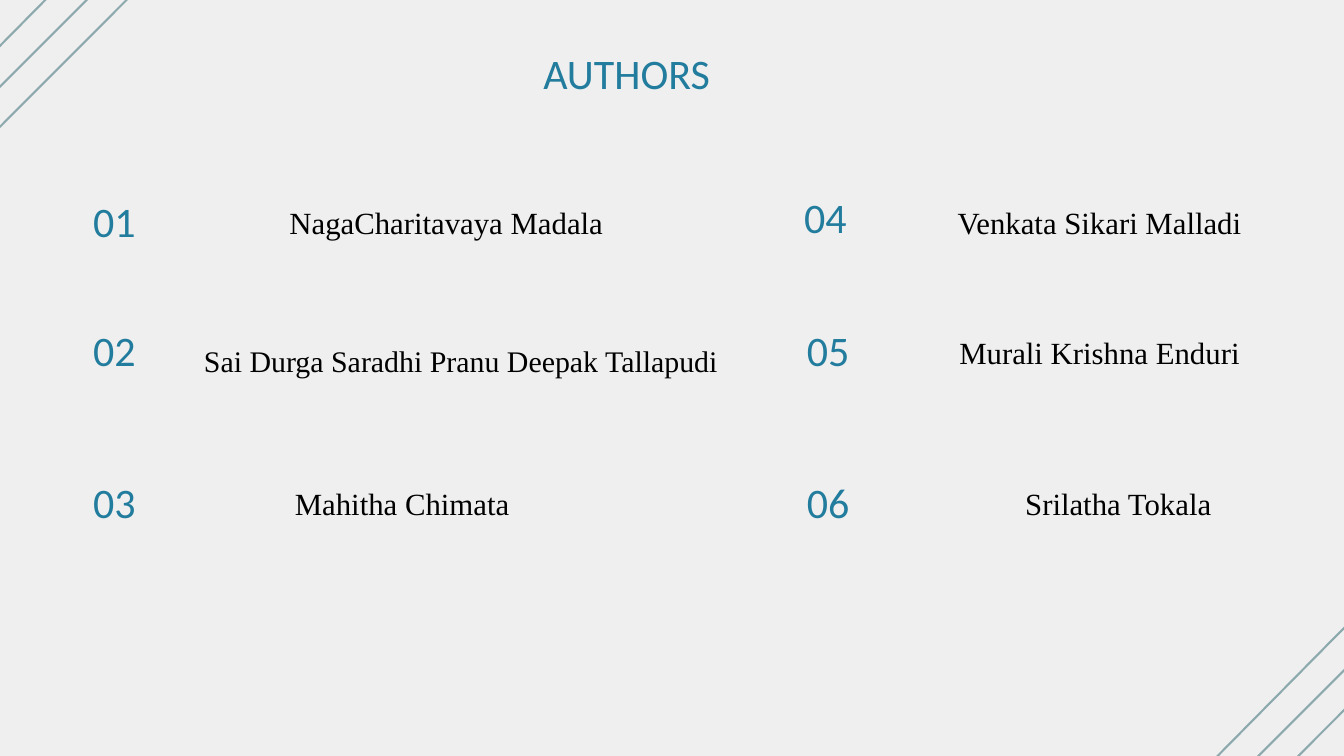
from lxml.etree import SubElement
from pptx import Presentation
from pptx.dml.color import RGBColor
from pptx.enum.shapes import MSO_CONNECTOR
from pptx.enum.text import MSO_AUTO_SIZE, PP_ALIGN
from pptx.oxml.ns import qn
from pptx.util import Pt

COLORS = {"background": "EFEFEF", "accent": "227C9D", "name": "000000", "stripe": "8CA9AD"}
TEXT_WIDTH = 948.2
NUMBER_HEIGHT = 54.7
ROW_TOPS = (0, 138.9, 300.9)
NAME_DROP = 7.2
STRIPES = (
    (-218.2, 269.9, 185.8, -139),
    (-193.6, 286.6, 203, -110.2),
    (-164.9, 301, 218.2, -82.8),
)
LEFT_AUTHORS = (
    {"number": "01", "name": "NagaCharitavaya Madala", "name_left": 355.5},
    {"number": "02", "name": "Sai Durga Saradhi Pranu Deepak Tallapudi", "name_left": 537.2,
     "name_width": 616.3, "name_size": 32, "name_shift": 9.4},
    {"number": "03", "name": "Mahitha Chimata", "name_left": 308.2},
)
RIGHT_AUTHORS = (
    {"number": "04", "name": "Venkata Sikari Malladi", "name_left": 290.7,
     "number_shift": (-2.9, -3.6)},
    {"number": "05", "name": "Murali Krishna Enduri", "name_left": 290.7},
    {"number": "06", "name": "Srilatha Tokala", "name_left": 310.8},
)


def add_text(slide, text, left, top, width, height, size=45, font="Calibri", color="accent"):
    label = slide.shapes.add_textbox(Pt(left), Pt(top), Pt(width), Pt(height))
    frame = label.text_frame
    frame.word_wrap = True
    frame.auto_size = MSO_AUTO_SIZE.SHAPE_TO_FIT_TEXT
    frame.margin_left = frame.margin_right = frame.margin_top = frame.margin_bottom = 0
    paragraph = frame.paragraphs[0]
    paragraph.alignment = PP_ALIGN.CENTER
    paragraph.line_spacing = Pt(size)
    run = paragraph.add_run()
    run.text = text
    run.font.size = Pt(size)
    run.font.name = font
    run.font.color.rgb = RGBColor.from_string(COLORS[color])


def add_corner_stripes(slide, left, top):
    for start_x, start_y, end_x, end_y in STRIPES:
        stripe = slide.shapes.add_connector(
            MSO_CONNECTOR.STRAIGHT,
            Pt(left + start_x), Pt(top + start_y), Pt(left + end_x), Pt(top + end_y),
        )
        stripe.line.color.rgb = RGBColor.from_string(COLORS["stripe"])
        stripe.line.width = Pt(2.25)
        SubElement(stripe.element.spPr, qn("a:effectLst"))


def add_title(slide, left, top, width, height):
    add_text(slide, "AUTHORS", left, top, width, height)


def add_author_column(slide, authors, left, top, width):
    for row_top, author in zip(ROW_TOPS, authors):
        shift_x, shift_y = author.get("number_shift", (0, 0))
        add_text(slide, author["number"], left + shift_x, top + row_top + shift_y,
                 width, NUMBER_HEIGHT)
        size = author.get("name_size", 33)
        name_top = top + row_top + NAME_DROP + author.get("name_shift", 0)
        add_text(slide, author["name"], left + author["name_left"], name_top,
                 author.get("name_width", width), size * 1.22,
                 size=size, font="Times New Roman", color="name")


def main():
    deck = Presentation()
    deck.slide_width = Pt(1440)
    deck.slide_height = Pt(810)
    slide = deck.slides.add_slide(deck.slide_layouts[6])
    background = slide.background.fill
    background.solid()
    background.fore_color.rgb = RGBColor.from_string(COLORS["background"])

    add_corner_stripes(slide, 1311.1, 754.3)
    add_title(slide, 197.3, 59.8, TEXT_WIDTH, NUMBER_HEIGHT)
    add_author_column(slide, LEFT_AUTHORS, -351.4, 218.2, TEXT_WIDTH)
    add_author_column(slide, RIGHT_AUTHORS, 413.3, 218.2, TEXT_WIDTH)
    add_corner_stripes(slide, 0, 0)
    deck.save("out.pptx")


if __name__ == "__main__":
    main()
